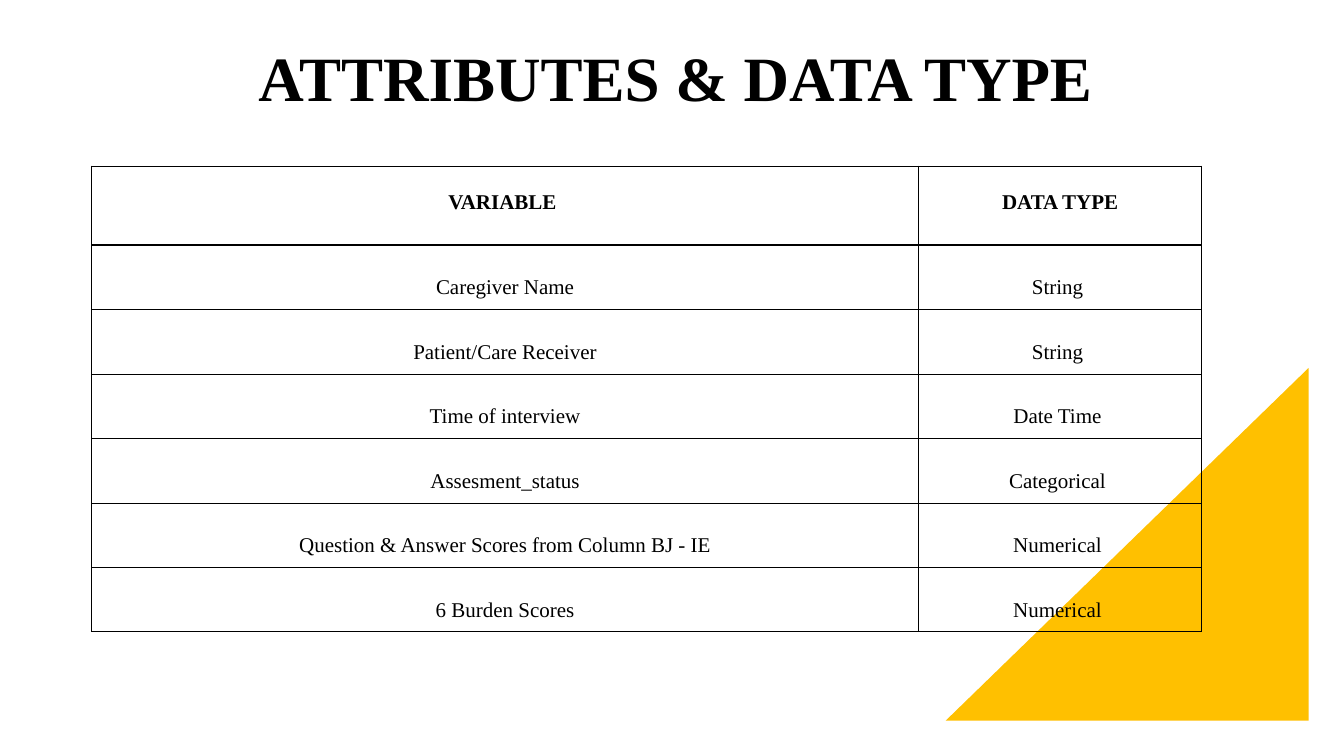
import pptx
import pptx.dml.color
import pptx.enum.shapes
import pptx.enum.text
import pptx.oxml.ns
import pptx.util
from lxml import etree

Inches = pptx.util.Inches
Pt = pptx.util.Pt
Anchor = pptx.enum.text.MSO_ANCHOR

THEME = {
    "font": "Times New Roman",
    "ink": pptx.dml.color.RGBColor.from_string("000000"),
    "accent": pptx.dml.color.RGBColor.from_string("FFC000"),
    "title_size": Pt(45),
    "cell_size": Pt(15),
    "thick": Pt(1),
    "thin": Pt(0.6),
}

ROWS = [
    ("VARIABLE ", "DATA TYPE"),
    ("Caregiver Name", "String "),
    ("Patient/Care Receiver", "String "),
    ("Time of interview", "Date Time "),
    ("Assesment_status", "Categorical "),
    ("Question & Answer Scores from Column BJ - IE", "Numerical "),
    ("6 Burden Scores", "Numerical "),
]
COLUMN_WIDTHS = [8.2, 2.81]
ROW_HEIGHTS = [0.78] + [0.64] * (len(ROWS) - 1)


def write_centred(frame, text, size, bold):
    para = frame.paragraphs[0]
    para.alignment = pptx.enum.text.PP_ALIGN.CENTER
    span = para.add_run()
    span.text = text
    span.font.color.rgb = THEME["ink"]
    looks = {"name": THEME["font"], "size": size, "bold": bold}
    for name, value in looks.items():
        setattr(span.font, name, value)
    return para


def add_border(cell, side, width):
    """Draw one side of a cell; side is L, R, T or B."""
    properties = cell._tc.get_or_add_tcPr()
    qn = pptx.oxml.ns.qn
    line = etree.SubElement(properties, qn(f"a:ln{side}"), w=str(int(width)))
    fill = etree.SubElement(line, qn("a:solidFill"))
    etree.SubElement(fill, qn("a:srgbClr"), val=str(THEME["ink"]))


deck = pptx.Presentation()
deck.slide_width = Inches(13.33)
deck.slide_height = Inches(7.5)
page = deck.slides.add_slide(deck.slide_layouts[6])

# Corner triangle, right angle at bottom right
corner = page.shapes.add_shape(
    pptx.enum.shapes.MSO_SHAPE.RIGHT_TRIANGLE,
    Inches(9.38), Inches(3.65), Inches(3.6), Inches(3.5))
corner._element.spPr.xfrm.set("flipH", "1")
corner.shadow.inherit = False
corner.fill.solid()
corner.fill.fore_color.rgb = THEME["accent"]
corner.line.fill.background()

# Title
title = page.shapes.add_textbox(
    Inches(1.27), Inches(0.03), Inches(11.01), Inches(1.15)).text_frame
title.word_wrap = True
title.vertical_anchor = Anchor.BOTTOM
write_centred(title, "ATTRIBUTES & DATA TYPE ", THEME["title_size"], True)

# Attribute table
table = page.shapes.add_table(
    len(ROWS), len(COLUMN_WIDTHS), Inches(0.91), Inches(1.65),
    Inches(sum(COLUMN_WIDTHS)), Inches(sum(ROW_HEIGHTS))).table
table.first_row = False
table.horz_banding = False
for column, width in zip(table.columns, COLUMN_WIDTHS):
    column.width = Inches(width)
for row, height in zip(table.rows, ROW_HEIGHTS):
    row.height = Inches(height)

last_row = len(ROWS) - 1
last_column = len(COLUMN_WIDTHS) - 1
for row_index, texts in enumerate(ROWS):
    header = row_index == 0
    for column_index, text in enumerate(texts):
        cell = table.cell(row_index, column_index)
        layout = {
            "margin_left": Inches(0.01),
            "margin_right": Inches(0.01),
            "margin_top": Inches(0.01),
            "margin_bottom": Inches(0.1),
            "vertical_anchor": Anchor.MIDDLE if header else Anchor.BOTTOM,
        }
        for name, value in layout.items():
            setattr(cell, name, value)
        para = write_centred(cell.text_frame, text, THEME["cell_size"], header)
        para.line_spacing = 1.15

        # Thick lines frame the table and close the header row
        thick_sides = {
            "L": column_index == 0,
            "R": column_index == last_column,
            "T": row_index <= 1,
            "B": header or row_index == last_row,
        }
        for side, thick in thick_sides.items():
            add_border(cell, side, THEME["thick" if thick else "thin"])
        cell.fill.background()

deck.save("out.pptx")
